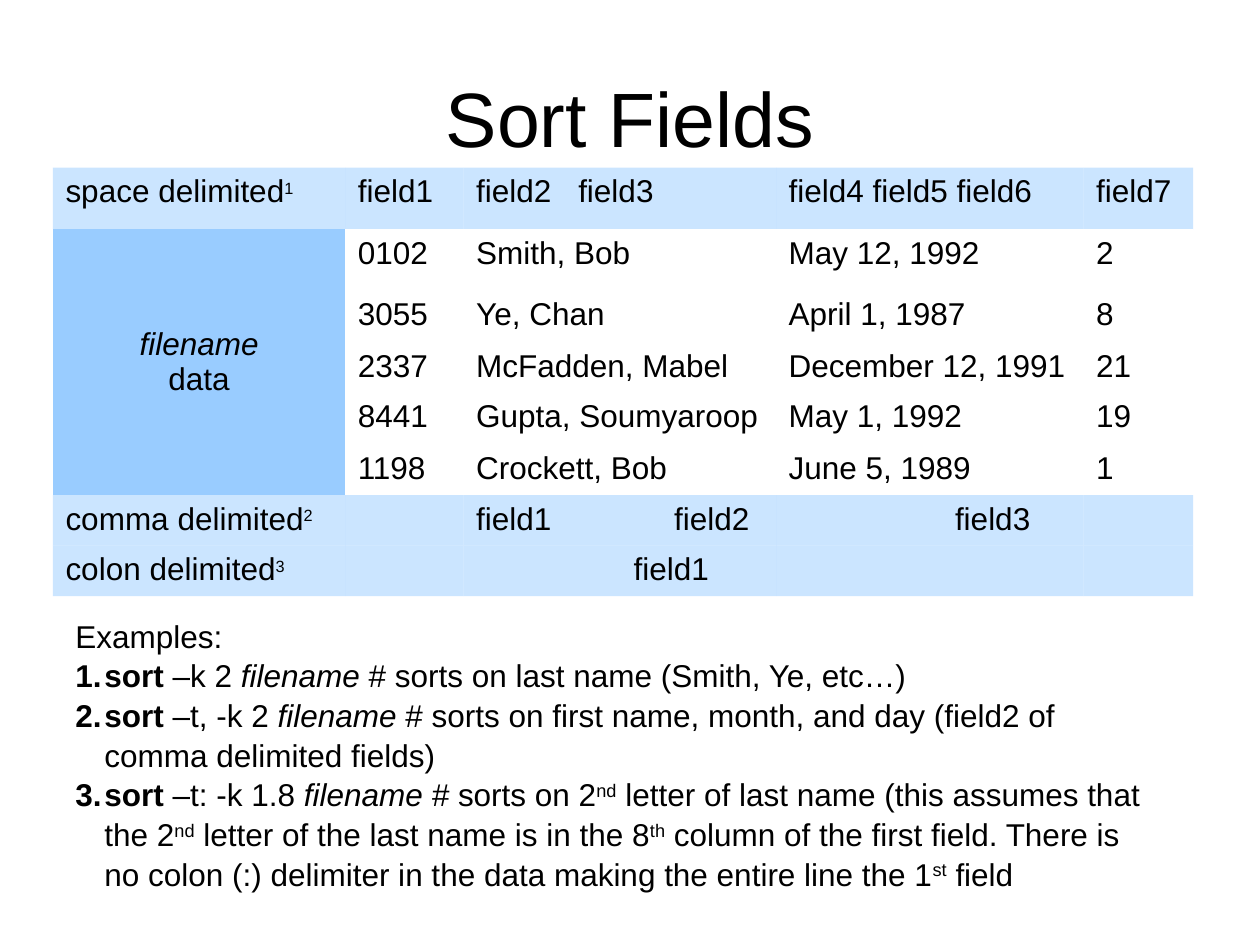
import pptx
import pptx.util
import pptx.dml.color
import pptx.enum.text
import pptx.oxml.ns
import lxml.etree

Inches = pptx.util.Inches
PP_ALIGN = pptx.enum.text.PP_ALIGN
ANCHOR = pptx.enum.text.MSO_ANCHOR

COLORS = {"text": "000000", "blue": "99CCFF", "white": "FFFFFF"}
BOLD, ITALIC, RAISED = {"bold": True}, {"italic": True}, {"raised": True}
NOTE = {"raised": True, "size": 16}

TITLE = "Sort Fields"
COL_WIDTHS = [2.32, 0.94, 2.48, 2.44, 0.87]
ROW_HEIGHTS = [0.49, 0.49, 0.41, 0.4, 0.41, 0.4, 0.4, 0.4]
ROWS = [
    ["space delimited", "field1", "field2\tfield3", "field4 field5 field6", "field7"],
    ["", "0102", "Smith, Bob", "May 12, 1992", "2"],
    ["", "3055", "Ye, Chan", "April 1, 1987", "8"],
    ["", "2337", "McFadden, Mabel", "December 12, 1991", "21"],
    ["", "8441", "Gupta, Soumyaroop", "May 1, 1992", "19"],
    ["", "1198", "Crockett, Bob", "June 5, 1989", "1"],
    ["comma delimited", "", "field1\tfield2", "field3", ""],
    ["colon delimited", "", "field1", "", ""],
]
DATA_ROWS = range(1, 6)
NOTE_MARKS = {0: "1", 6: "2", 7: "3"}
TAB_STOPS = {(0, 2): 0.81, (6, 2): 1.57}
INDENTS = {(6, 3): 1.32, (7, 2): 1.25}
FILE_LABEL = [("filename", ITALIC), ("data", {})]

EXAMPLES_HEADING = "Examples:"
EXAMPLES = [
    [("sort", BOLD), (" –k 2 ", {}), ("filename", ITALIC),
     (" # sorts on last name (Smith, Ye, etc…)", {})],
    [("sort", BOLD), (" –t, -k 2 ", {}), ("filename", ITALIC),
     (" # sorts on first name, month, and day (field2 of comma delimited fields)", {})],
    [("sort", BOLD), (" –t: -k 1.8 ", {}), ("filename # ", ITALIC),
     ("sorts on 2", {}), ("nd", RAISED),
     (" letter of last name (this assumes that the 2", {}), ("nd", RAISED),
     (" letter of the last name is in the 8", {}), ("th", RAISED),
     (" column of the first field. There is no colon (:) delimiter in the data"
      " making the entire line the 1", {}), ("st", RAISED), (" field", {})],
]


def add_child(parent, tag, **attrs):
    return lxml.etree.SubElement(parent, pptx.oxml.ns.qn(tag), attrs)


def add_text(p, text, size=18, bold=False, italic=False, raised=False):
    r = p.add_run()
    r.text = text
    font = r.font
    font.name, font.size = "Arial", pptx.util.Pt(size)
    font.bold, font.italic = bold, italic
    font.color.rgb = pptx.dml.color.RGBColor.from_string(COLORS["text"])
    if raised:
        r._r.get_or_add_rPr().set("baseline", "30000")


def add_box(slide, left, top, width, height):
    box = slide.shapes.add_textbox(*map(Inches, (left, top, width, height)))
    box.text_frame.word_wrap = True
    return box.text_frame


def set_indent(p, left, first=0):
    pPr = p._p.get_or_add_pPr()
    pPr.set("marL", str(Inches(left)))
    pPr.set("indent", str(Inches(first)))
    return pPr


def fill_cell(cell, color, alpha=None):
    cell.fill.solid()
    cell.fill.fore_color.rgb = pptx.dml.color.RGBColor.from_string(COLORS[color])
    if alpha:
        rgb = cell._tc.tcPr.find(".//" + pptx.oxml.ns.qn("a:srgbClr"))
        add_child(rgb, "a:alpha", val=str(alpha * 1000))


def build_table(slide):
    frame = slide.shapes.add_table(
        len(ROWS), len(COL_WIDTHS), Inches(0.42), Inches(1.33),
        Inches(sum(COL_WIDTHS)), Inches(sum(ROW_HEIGHTS)))
    table = frame.table
    table.first_row = table.horz_banding = False
    style = table._tbl.tblPr.find(pptx.oxml.ns.qn("a:tableStyleId"))
    style.text = "{2D5ABB26-0587-4C30-8999-92F81FD0307C}"
    for col, width in zip(table.columns, COL_WIDTHS):
        col.width = Inches(width)
    for row, height in zip(table.rows, ROW_HEIGHTS):
        row.height = Inches(height)

    for i, row in enumerate(ROWS):
        for j, text in enumerate(row):
            cell = table.cell(i, j)
            if i not in DATA_ROWS:
                fill_cell(cell, "blue", alpha=50)
            else:
                fill_cell(cell, "white" if j else "blue")
            if not text:
                continue
            p = cell.text_frame.paragraphs[0]
            if (i, j) in TAB_STOPS:
                tabs = add_child(p._p.get_or_add_pPr(), "a:tabLst")
                add_child(tabs, "a:tab", pos=str(Inches(TAB_STOPS[i, j])), algn="l")
            if (i, j) in INDENTS:
                set_indent(p, INDENTS[i, j])
            add_text(p, text)
            if j == 0:
                add_text(p, NOTE_MARKS[i], **NOTE)

    label = table.cell(DATA_ROWS[0], 0)
    label.merge(table.cell(DATA_ROWS[-1], 0))
    label.vertical_anchor = ANCHOR.MIDDLE
    tf = label.text_frame
    for n, (text, style) in enumerate(FILE_LABEL):
        p = tf.add_paragraph() if n else tf.paragraphs[0]
        p.alignment = PP_ALIGN.CENTER
        add_text(p, text, **style)


def build_examples(slide):
    tf = add_box(slide, 0.5, 4.83, 8.75, 2.2)
    add_text(tf.paragraphs[0], EXAMPLES_HEADING)
    for runs in EXAMPLES:
        p = tf.add_paragraph()
        pPr = set_indent(p, 0.23, -0.23)
        add_child(pPr, "a:buFont", typeface="Arial")
        add_child(pPr, "a:buAutoNum", type="arabicPeriod")
        for text, style in runs:
            add_text(p, text, **style)
    for p in tf.paragraphs:
        p.line_spacing = 1.05


def main():
    prs = pptx.Presentation()
    prs.slide_width, prs.slide_height = Inches(10), Inches(7.5)
    slide = prs.slides.add_slide(prs.slide_layouts[6])
    tf = add_box(slide, 0.5, 0.3, 9, 1.25)
    tf.vertical_anchor = ANCHOR.MIDDLE
    tf.paragraphs[0].alignment = PP_ALIGN.CENTER
    add_text(tf.paragraphs[0], TITLE, size=44)
    build_table(slide)
    build_examples(slide)
    prs.save("out.pptx")


if __name__ == "__main__":
    main()
